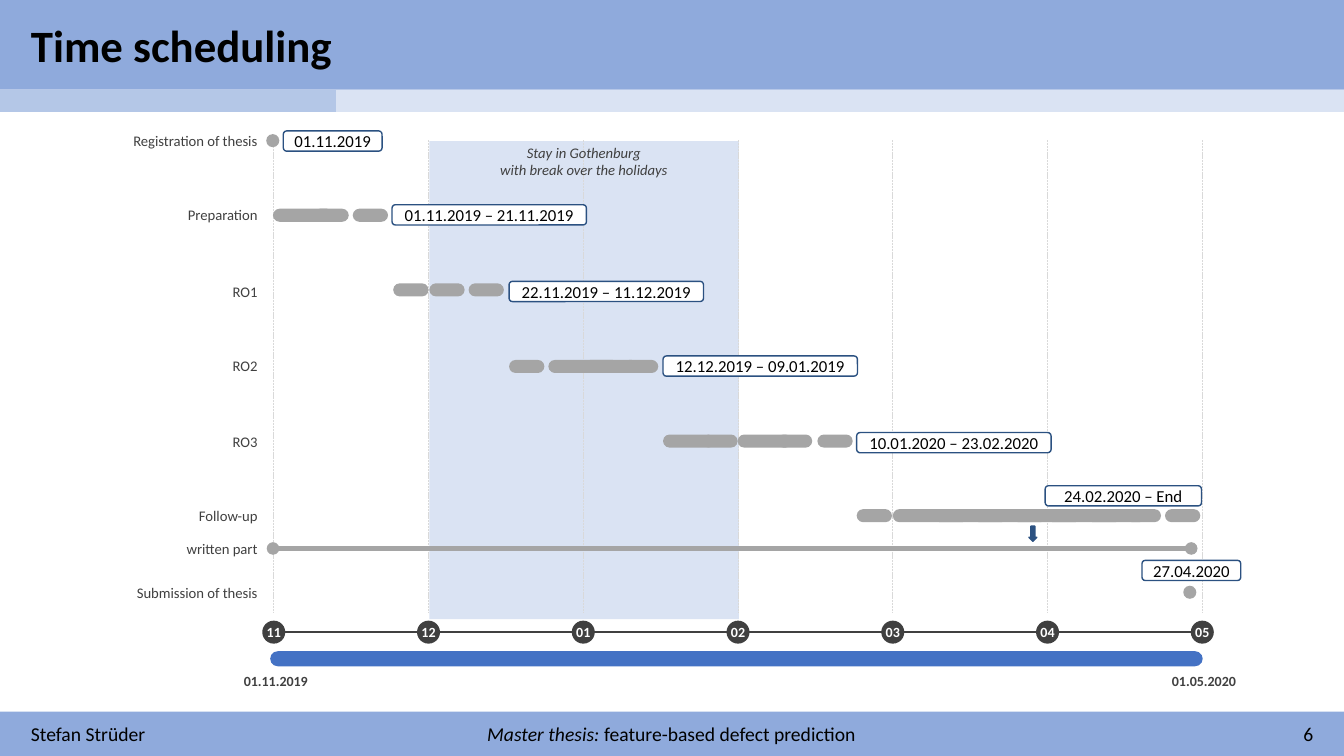
"""Build the thesis time schedule slide."""
from lxml import etree
from pptx import Presentation
from pptx.dml.color import RGBColor
from pptx.enum.dml import MSO_LINE
from pptx.enum.shapes import MSO_CONNECTOR, MSO_SHAPE
from pptx.enum.text import MSO_ANCHOR, PP_ALIGN
from pptx.oxml.ns import qn
from pptx.util import Cm, Pt

RECT, ROUND = MSO_SHAPE.RECTANGLE, MSO_SHAPE.ROUNDED_RECTANGLE
OVAL, ARROW = MSO_SHAPE.OVAL, MSO_SHAPE.DOWN_ARROW
STRAIGHT, DASH = MSO_CONNECTOR.STRAIGHT, MSO_LINE.SQUARE_DOT
LEFT, CENTER, RIGHT = PP_ALIGN.LEFT, PP_ALIGN.CENTER, PP_ALIGN.RIGHT
TOP, MIDDLE = MSO_ANCHOR.TOP, MSO_ANCHOR.MIDDLE

FONT = "Calibri"
NO_STYLE = "{2D5ABB26-0587-4C30-8999-92F81FD0307C}"
BLACK, WHITE, DARK, GREY = "000000", "FFFFFF", "404040", "A5A5A5"
HEADER, PALE, NAVY = "8FAADC", "DAE3F3", "2B5181"

WIDTH, HEIGHT = 33.87, 19.05
LABEL_RIGHT, LABEL_H = 6.49, 0.51
DOT, WEEK = 0.33, 0.89
MONTHS = ["11", "12", "01", "02", "03", "04", "05"]
MONTH_X, MONTH_STEP, MONTH_Y, MONTH_D = 6.9, 3.9, 15.93, 0.58

TITLE = {"size": Pt(32), "bold": True}
FOOTER = {"size": Pt(14)}
LABEL = {"size": Pt(10.5)}
NOTE = {"size": Pt(10.5), "italic": True}
SMALL = {"size": Pt(10), "bold": True}
DATE = {"size": Pt(12)}

LABELS = [
    ("Registration of thesis", 3.3, 3.4), ("Preparation", 5.16, 2.01),
    ("RO1", 7.09, 1.75), ("RO2", 8.97, 1.75), ("RO3", 10.87, 1.75),
    ("Follow-up", 12.75, 2.31), ("written part", 13.56, 2.31),
    ("Submission of thesis", 14.68, 3.91),
]
BARS = {
    5.26: [(6.88, 1.52), (7.9, WEEK), (8.89, WEEK)],
    7.14: [(x, WEEK) for x in (9.91, 10.82, 11.81)],
    9.07: [(12.83, WEEK), (13.82, 2.26), (14.71, WEEK), (15.7, WEEK)],
    10.95: [(16.71, 1.3), (17.7, WEEK), (18.59, 1.37), (19.58, WEEK),
            (20.6, WEEK)],
    12.83: [(21.59, WEEK), (22.5, 6.38)] + [
        (x, WEEK) for x in (23.52, 24.51, 25.5, 26.37, 27.38, 28.37, 29.36)],
}
DATES = [
    ("01.11.2019", 7.14, 3.3, 2.49),
    ("01.11.2019 – 21.11.2019", 9.88, 5.16, 4.9),
    ("22.11.2019 – 11.12.2019", 12.83, 7.09, 4.9),
    ("12.12.2019 – 09.01.2019", 16.71, 8.97, 4.9),
    ("10.01.2020 – 23.02.2020", 21.59, 10.9, 4.9),
    ("24.02.2020 – End", 26.34, 12.24, 3.94),
    ("27.04.2020", 28.78, 14.12, 2.49),
]


def rgb(value):
    """Return the colour of a hex string."""
    return RGBColor.from_string(value)


def add_run(p, text, fmt, color):
    """Append a formatted run to a paragraph."""
    r = p.add_run()
    r.text = text
    r.font.name = FONT
    r.font.color.rgb = rgb(color)
    for name, value in fmt.items():
        setattr(r.font, name, value)


def fill_text(sp, lines, fmt, color, align, anchor=MIDDLE, wrap=True, inset=0):
    """Write one paragraph per line into a shape."""
    tf = sp.text_frame
    tf.word_wrap = wrap
    tf.vertical_anchor = anchor
    for side in ("left", "right", "top", "bottom"):
        across = side in ("left", "right")
        setattr(tf, f"margin_{side}", Cm(inset if across else inset / 2))
    for i, line in enumerate(lines):
        p = tf.paragraphs[0] if i == 0 else tf.add_paragraph()
        p.alignment = align
        add_run(p, line, fmt, color)
    return tf


def add_text(s, box, lines, fmt, color, align, **options):
    """Add a text box."""
    sp = s.shapes.add_textbox(*map(Cm, box))
    return fill_text(sp, lines, fmt, color, align, **options)


def add_box(s, kind, box, fill, line=None, adj=None):
    """Add a filled preset shape."""
    sp = s.shapes.add_shape(kind, *map(Cm, box))
    sp.shadow.inherit = False
    sp.fill.solid()
    sp.fill.fore_color.rgb = rgb(fill)
    if line:
        sp.line.color.rgb = rgb(line)
        sp.line.width = Pt(1)
    else:
        sp.line.fill.background()
    if adj is not None:
        sp.adjustments[0] = adj
    return sp


def add_line(s, x1, y1, x2, y2, color, width, dash=None, ovals=False):
    """Add a straight line, with round ends on request."""
    sp = s.shapes.add_connector(STRAIGHT, *map(Cm, (x1, y1, x2, y2)))
    sp.line.color.rgb = rgb(color)
    sp.line.width = Pt(width)
    if dash:
        sp.line.dash_style = dash
    if ovals:
        ln = sp.line._get_or_add_ln()
        for end in ("a:headEnd", "a:tailEnd"):
            etree.SubElement(ln, qn(end), type="oval")
    etree.SubElement(sp._element.spPr, qn("a:effectLst"))


def add_strip(s):
    """Add the four-cell progress strip below the title."""
    colors = ["B4C7E7", PALE, PALE, PALE]
    table = s.shapes.add_table(
        1, len(colors), 0, Cm(2.26), Cm(WIDTH), Cm(0.57)).table
    table.first_row = table.horz_banding = False
    table._tbl.tblPr.find(qn("a:tableStyleId")).text = NO_STYLE
    for cell, color in zip(table.rows[0].cells, colors):
        cell.fill.solid()
        cell.fill.fore_color.rgb = rgb(color)
        cell.margin_top = cell.margin_bottom = 0
        p = cell.text_frame.paragraphs[0]
        etree.SubElement(p._p, qn("a:endParaRPr"), sz="800")


def add_frame(s):
    """Add the title bar, strip and footer."""
    add_box(s, RECT, (0, 17.93, WIDTH, 1.12), HEADER)
    add_box(s, RECT, (0, 0, WIDTH, 2.26), HEADER)
    add_strip(s)
    add_text(s, (0.53, 0.33, 8.15, 1.63), ["Time scheduling"], TITLE, BLACK,
             LEFT, anchor=TOP, wrap=False, inset=0.25)
    add_text(s, (0.53, 18.06, 9.12, 0.86), ["Stefan Strüder"], FOOTER, BLACK,
             LEFT, inset=0.25)
    add_text(s, (24.23, 18.06, 9.12, 0.86), ["6"], FOOTER, BLACK, RIGHT,
             inset=0.25)
    tf = add_text(s, (11.73, 18.06, 10.39, 0.86), ["Master thesis: "],
                  {**FOOTER, "italic": True}, BLACK, CENTER, inset=0.25)
    add_run(tf.paragraphs[0], "feature-based defect prediction", FOOTER, BLACK)


def add_axis(s):
    """Add the month axis with its grid and total span."""
    last = MONTH_X + MONTH_STEP * (len(MONTHS) - 1)
    add_line(s, MONTH_X, MONTH_Y, last, MONTH_Y, DARK, 1.25)
    for i, month in enumerate(MONTHS):
        x = MONTH_X + i * MONTH_STEP
        add_line(s, x, 3.53, x, 15.44, "D9D9D9", 0.5, DASH)
        sp = add_box(s, OVAL, (x - MONTH_D / 2, MONTH_Y - MONTH_D / 2,
                               MONTH_D, MONTH_D), DARK)
        fill_text(sp, [month], SMALL, WHITE, CENTER, wrap=False)
    add_box(s, ROUND, (6.81, 16.41, 23.5, 0.38), "4472C4", adj=0.5)
    for x, date in ((6.1, "01.11.2019"), (29.49, "01.05.2020")):
        add_text(s, (x, 16.94, 1.7, 0.53), [date], SMALL, DARK, CENTER,
                 anchor=TOP)


def add_tasks(s):
    """Add the task labels, bars, milestones and dates."""
    for text, y, w in LABELS:
        add_text(s, (LABEL_RIGHT - w, y, w, LABEL_H), [text], LABEL, DARK,
                 RIGHT)
    for y, weeks in BARS.items():
        for x, w in weeks:
            add_box(s, ROUND, (x, y, w, DOT), GREY, adj=0.5)
    for x, y in ((6.71, 3.38), (29.82, 14.76)):
        add_box(s, ROUND, (x, y, DOT, DOT), GREY, adj=0.5)
    add_line(s, 6.88, 13.82, 30.02, 13.82, GREY, 3, ovals=True)
    add_box(s, ARROW, (25.93, 13.26, 0.2, 0.38), NAVY, NAVY)
    for text, x, y, w in DATES:
        sp = add_box(s, ROUND, (x, y, w, LABEL_H), WHITE, NAVY)
        fill_text(sp, [text], DATE, BLACK, CENTER)


def main():
    """Build and save the slide."""
    prs = Presentation()
    prs.slide_width, prs.slide_height = Cm(WIDTH), Cm(HEIGHT)
    s = prs.slides.add_slide(prs.slide_layouts[6])
    add_box(s, RECT, (10.82, 3.56, 7.8, 12.04), PALE)
    add_frame(s)
    add_axis(s)
    add_tasks(s)
    add_text(s, (12.57, 3.81, 4.29, 0.51),
             ["Stay in Gothenburg", "with break over the holidays"],
             NOTE, DARK, CENTER)
    prs.save("out.pptx")


if __name__ == "__main__":
    main()
